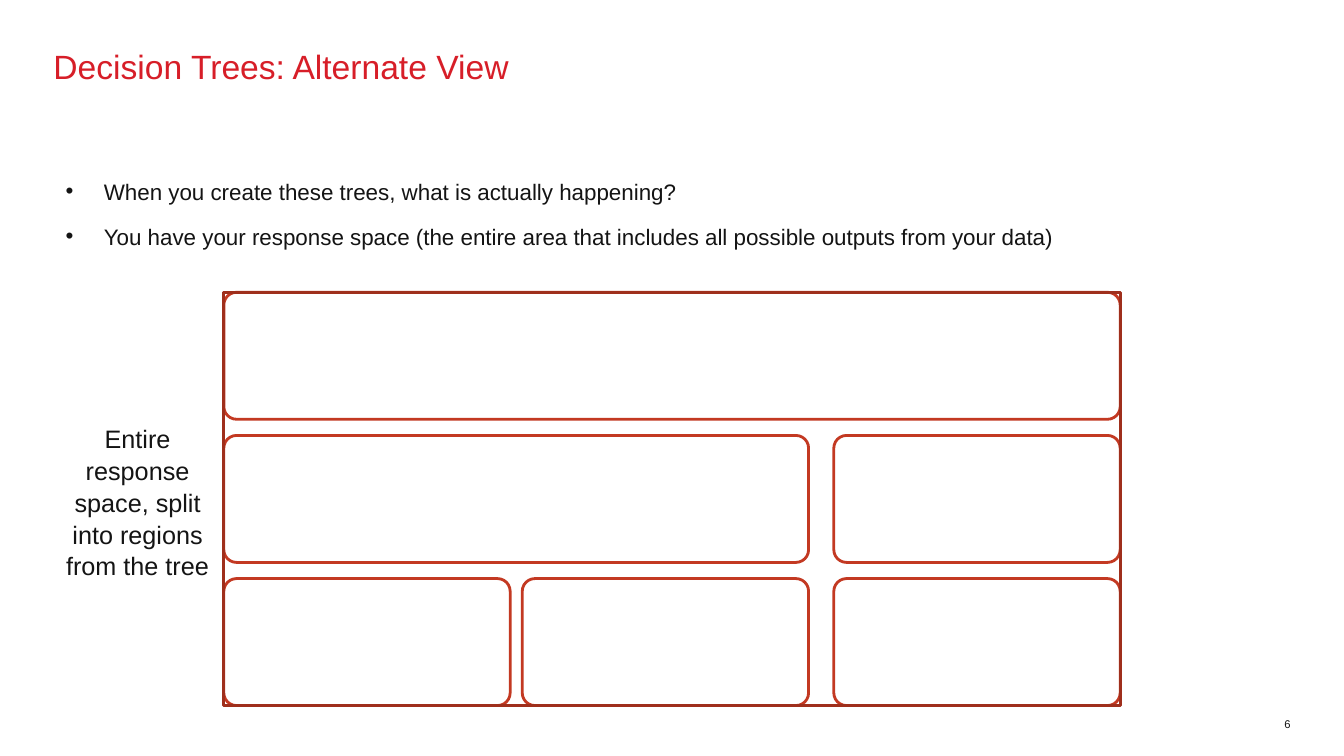
from pptx import Presentation
from pptx.dml.color import RGBColor
from pptx.enum.shapes import MSO_SHAPE
from pptx.enum.text import MSO_ANCHOR, MSO_AUTO_SIZE, PP_ALIGN
from pptx.oxml import parse_xml
from pptx.oxml.ns import nsdecls
from pptx.util import Pt

PX = 9144
RED = RGBColor(0xD7, 0x1E, 0x28)
INK = RGBColor(0x14, 0x14, 0x14)
WHITE = RGBColor(0xFF, 0xFF, 0xFF)
REGION_LINE = RGBColor(0xC3, 0x39, 0x22)
SPACE_LINE = RGBColor(0x9F, 0x2F, 0x1C)
ROUNDED, RECTANGLE = MSO_SHAPE.ROUNDED_RECTANGLE, MSO_SHAPE.RECTANGLE
LEFT, CENTER, RIGHT = PP_ALIGN.LEFT, PP_ALIGN.CENTER, PP_ALIGN.RIGHT
TOP, BOTTOM = MSO_ANCHOR.TOP, MSO_ANCHOR.BOTTOM
NO_AUTOFIT = MSO_AUTO_SIZE.NONE

TITLE = "Decision Trees: Alternate View"
BULLETS = [
    "When you create these trees, what is actually happening?",
    "You have your response space (the entire area that includes all possible outputs from your data)",
]
SPACE_LABEL = "Entire response space, split into regions from the tree"

SPACE_BOX = (222, 290, 889, 410)
COLUMN_LEFTS = (222, 518, 827)
COLUMN_WIDTH = 284
ROW_TOP, ROW_HEIGHT, ROW_STEP = 290, 126, 142
REGIONS = [(0, 0, 2), (1, 0, 1), (2, 0, 0), (2, 1, 1), (1, 2, 2), (2, 2, 2)]


def write_text(shape, box, lines, size, color, anchor, inset, paragraph_format):
    shape.left, shape.top, shape.width, shape.height = [value * PX for value in box]
    frame = shape.text_frame
    frame_format = {"word_wrap": True, "auto_size": NO_AUTOFIT, "vertical_anchor": anchor}
    if not inset:
        frame_format.update(margin_left=0, margin_top=0, margin_right=0, margin_bottom=0)
    for name, value in frame_format.items():
        setattr(frame, name, value)
    frame.text = "\n".join(lines)
    for paragraph in frame.paragraphs:
        for name, value in paragraph_format.items():
            setattr(paragraph, name, value)
        for run in paragraph.runs:
            for name, value in {"name": "Arial", "size": Pt(size)}.items():
                setattr(run.font, name, value)
            run.font.color.rgb = color


def add_outline(kind, box, color):
    shape = slide.shapes.add_shape(kind, *[value * PX for value in box])
    shape.shadow.inherit = False
    shape.line.color.rgb = color
    shape.line.width = Pt(2)
    return shape


presentation = Presentation()
presentation.slide_width = 1333 * PX
presentation.slide_height = 750 * PX
slide = presentation.slides.add_slide(presentation.slide_layouts[1])

write_text(slide.shapes.title, (53, 50, 1227, 110), [TITLE], 24, RED, TOP, False,
           {"alignment": LEFT, "line_spacing": 0.9})

body = slide.placeholders[1]
write_text(body, (53, 175, 1227, 500), BULLETS, 16, INK, TOP, False,
           {"alignment": LEFT, "line_spacing": 1.05, "space_before": Pt(12)})
body.text_frame.paragraphs[0].space_before = Pt(0)
for paragraph in body.text_frame.paragraphs:
    properties = paragraph._p.get_or_add_pPr()
    properties.set("marL", str(50 * PX))
    properties.set("indent", str(-38 * PX))
    for bullet in (
        f'<a:buClr {nsdecls("a")}><a:srgbClr val="{INK}"/></a:buClr>',
        f'<a:buFont {nsdecls("a")} typeface="Arial"/>',
        f'<a:buChar {nsdecls("a")} char="•"/>',
    ):
        properties.append(parse_xml(bullet))

page_number = slide.shapes.add_textbox(0, 0, PX, PX)
write_text(page_number, (1227, 700, 53, 25), ["6"], 8, INK, BOTTOM, False,
           {"alignment": RIGHT})

for row, first, last in REGIONS:
    left = COLUMN_LEFTS[first]
    width = COLUMN_LEFTS[last] + COLUMN_WIDTH - left
    region = add_outline(ROUNDED, (left, ROW_TOP + row * ROW_STEP, width, ROW_HEIGHT), REGION_LINE)
    region.adjustments[0] = 0.1
    region.fill.solid()
    region.fill.fore_color.rgb = WHITE

response_space = add_outline(RECTANGLE, SPACE_BOX, SPACE_LINE)
response_space.fill.background()

space_label = slide.shapes.add_textbox(0, 0, PX, PX)
write_text(space_label, (53, 414, 167, 192), [SPACE_LABEL], 18, INK, TOP, True,
           {"alignment": CENTER, "line_spacing": 1.05})

presentation.save("out.pptx")
